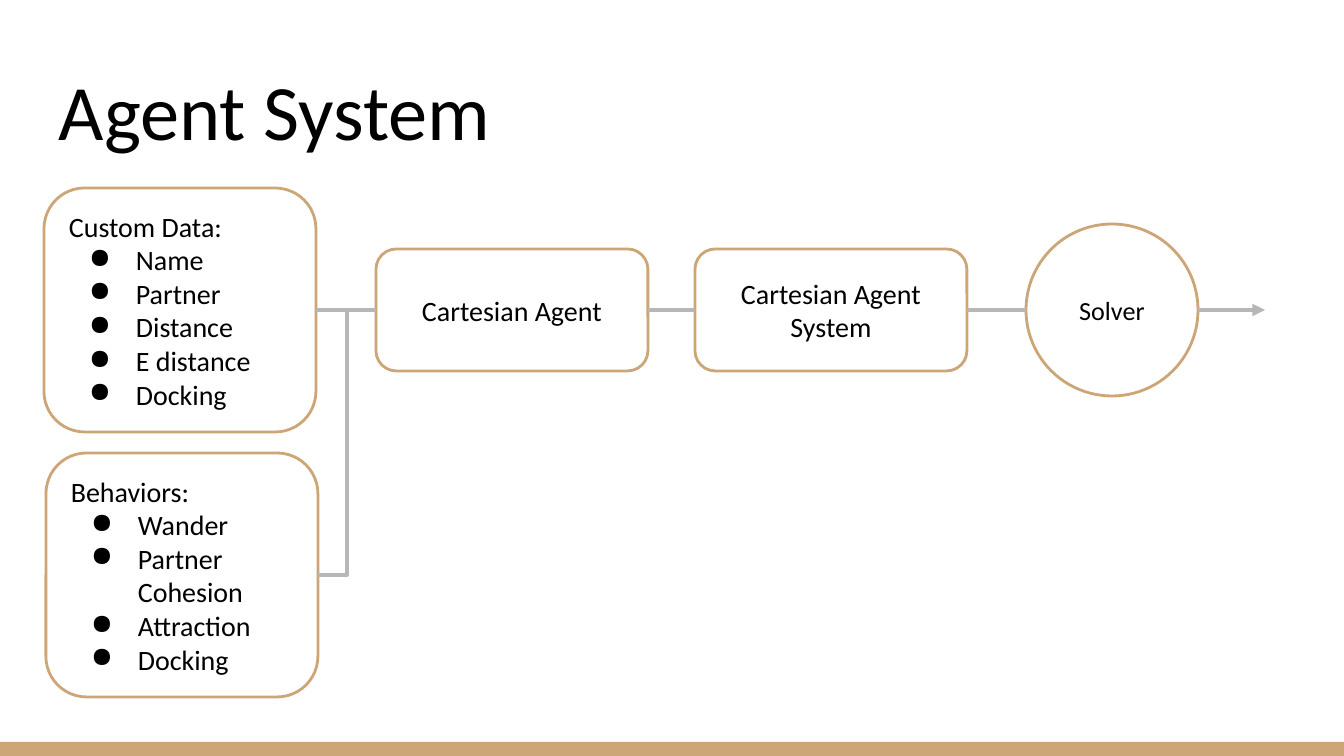
import lxml.etree
import pptx
import pptx.dml.color
import pptx.enum.shapes
import pptx.enum.text
import pptx.oxml.ns
import pptx.util

EMU_PER_PX = 914400 / 134.4
BLACK = pptx.dml.color.RGBColor(0x00, 0x00, 0x00)
TAN = pptx.dml.color.RGBColor(0xCC, 0xA6, 0x77)
GRAY = pptx.dml.color.RGBColor(0xB7, 0xB7, 0xB7)
FONT = "Calibri"
SHAPES = pptx.enum.shapes.MSO_SHAPE
CONNECTORS = pptx.enum.shapes.MSO_CONNECTOR
ANCHORS = pptx.enum.text.MSO_ANCHOR
ALIGNMENTS = pptx.enum.text.PP_ALIGN
LEFT_SIDE, RIGHT_SIDE = 1, 3
INSET = 13
BOX_WIDTH = 272
LIST_HEIGHT = 244
STEP_HEIGHT = 122
SOLVER_SIZE = 172
FLOW_Y = 310


def px(length):
    """Turn a length in px into EMU."""
    return pptx.util.Emu(round(length * EMU_PER_PX))


def add_element(parent, tag, **attributes):
    """Append a DrawingML element to its parent."""
    element = lxml.etree.SubElement(parent, pptx.oxml.ns.qn(tag))
    for name, value in attributes.items():
        element.set(name, value)
    return element


def set_font(paragraph, size):
    """Give a paragraph the slide's black font at a size in points."""
    paragraph.font.name = FONT
    paragraph.font.size = pptx.util.Pt(size)
    paragraph.font.color.rgb = BLACK


def set_frame(text_frame, anchor):
    """Set the insets, wrapping and vertical anchor of a text frame."""
    text_frame.word_wrap = True
    text_frame.auto_size = pptx.enum.text.MSO_AUTO_SIZE.NONE
    text_frame.vertical_anchor = anchor
    text_frame.margin_left = text_frame.margin_right = px(INSET)
    text_frame.margin_top = text_frame.margin_bottom = px(INSET)


def set_bullet(paragraph):
    """Make a paragraph a bulleted item with a hanging indent."""
    properties = paragraph._p.get_or_add_pPr()
    properties.set("marL", str(px(67)))
    properties.set("indent", str(px(-47)))
    color = add_element(properties, "a:buClr")
    add_element(color, "a:srgbClr", val=str(BLACK))
    add_element(properties, "a:buChar", char="●")


def add_title(slide, text, left, top, width, height):
    """Place and format the title placeholder."""
    title = slide.shapes.title
    title.left, title.top = px(left), px(top)
    title.width, title.height = px(width), px(height)
    title.text_frame.text = text
    set_frame(title.text_frame, ANCHORS.BOTTOM)
    paragraph = title.text_frame.paragraphs[0]
    paragraph.alignment = ALIGNMENTS.LEFT
    set_font(paragraph, 42)


def add_bottom_bar(slide, left, top, width, height):
    """Draw the plain bar along the slide's bottom edge."""
    bar = slide.shapes.add_shape(
        SHAPES.RECTANGLE, px(left), px(top), px(width), px(height))
    bar.shadow.inherit = False
    bar.fill.solid()
    bar.fill.fore_color.rgb = TAN
    bar.line.fill.background()


def add_node(slide, kind, text, left, top, width, height, size=15, items=()):
    """Draw an outlined node with a centred label or a headed list."""
    node = slide.shapes.add_shape(
        kind, px(left), px(top), px(width), px(height))
    node.shadow.inherit = False
    node.fill.background()
    node.line.color.rgb = TAN
    node.line.width = pptx.util.Pt(1.5)
    text_frame = node.text_frame
    set_frame(text_frame, ANCHORS.MIDDLE)
    text_frame.text = "\n".join([text, *items])
    for index, paragraph in enumerate(text_frame.paragraphs):
        paragraph.alignment = ALIGNMENTS.LEFT if items else ALIGNMENTS.CENTER
        if index:
            set_bullet(paragraph)
        set_font(paragraph, size)
    return node


def add_link(slide, start, end, source=None, target=None,
             kind=CONNECTORS.STRAIGHT, arrow=False):
    """Draw a gray connector, joined to the given boxes' facing sides."""
    link = slide.shapes.add_connector(
        kind, px(start[0]), px(start[1]), px(end[0]), px(end[1]))
    if source is not None:
        link.begin_connect(source, RIGHT_SIDE)
    if target is not None:
        link.end_connect(target, LEFT_SIDE)
    link.line.color.rgb = GRAY
    link.line.width = pptx.util.Pt(2.25)
    if arrow:
        add_element(link.line._get_or_add_ln(), "a:tailEnd", type="triangle")
    add_element(link._element.spPr, "a:effectLst")


def add_flow(slide, left, top):
    """Draw the two input lists and the steps that they feed."""
    middle = top + LIST_HEIGHT // 2
    behaviors_top = top + 265
    agent_left, system_left, solver_left = left + 332, left + 651, left + 982
    step_top = middle - STEP_HEIGHT // 2
    solver_right = solver_left + SOLVER_SIZE

    behaviors = add_node(
        slide, SHAPES.ROUNDED_RECTANGLE, "Behaviors:",
        left + 2, behaviors_top, BOX_WIDTH, LIST_HEIGHT,
        items=("Wander", "Partner Cohesion", "Attraction", "Docking"))
    custom_data = add_node(
        slide, SHAPES.ROUNDED_RECTANGLE, "Custom Data:",
        left, top, BOX_WIDTH, LIST_HEIGHT,
        items=("Name", "Partner", "Distance", "E distance", "Docking"))
    agent, system = [
        add_node(slide, SHAPES.ROUNDED_RECTANGLE, text,
                 step_left, step_top, BOX_WIDTH, STEP_HEIGHT)
        for text, step_left in (("Cartesian Agent", agent_left),
                                ("Cartesian Agent System", system_left))]
    add_node(slide, SHAPES.OVAL, "Solver", solver_left,
             middle - SOLVER_SIZE // 2, SOLVER_SIZE, SOLVER_SIZE, size=14)

    add_link(slide, (left + 2 + BOX_WIDTH, behaviors_top + LIST_HEIGHT // 2),
             (agent_left, middle), behaviors, agent, CONNECTORS.ELBOW)
    for start, end, source, target in (
            (left + BOX_WIDTH, agent_left, custom_data, agent),
            (agent_left + BOX_WIDTH, system_left, agent, system),
            (system_left + BOX_WIDTH, solver_left, system, None)):
        add_link(slide, (start, middle), (end, middle), source, target)
    add_link(slide, (solver_right, middle), (solver_right + 67, middle),
             arrow=True)


def main():
    """Build and save the agent system slide."""
    presentation = pptx.Presentation()
    presentation.slide_width, presentation.slide_height = px(1344), px(756)
    slide = presentation.slides.add_slide(presentation.slide_layouts[5])
    add_bottom_bar(slide, 0, 742, 1344, 14)
    add_title(slide, "Agent System", 46, 47, 1253, 122)
    add_flow(slide, 44, FLOW_Y - LIST_HEIGHT // 2)
    presentation.save("out.pptx")


if __name__ == "__main__":
    main()
